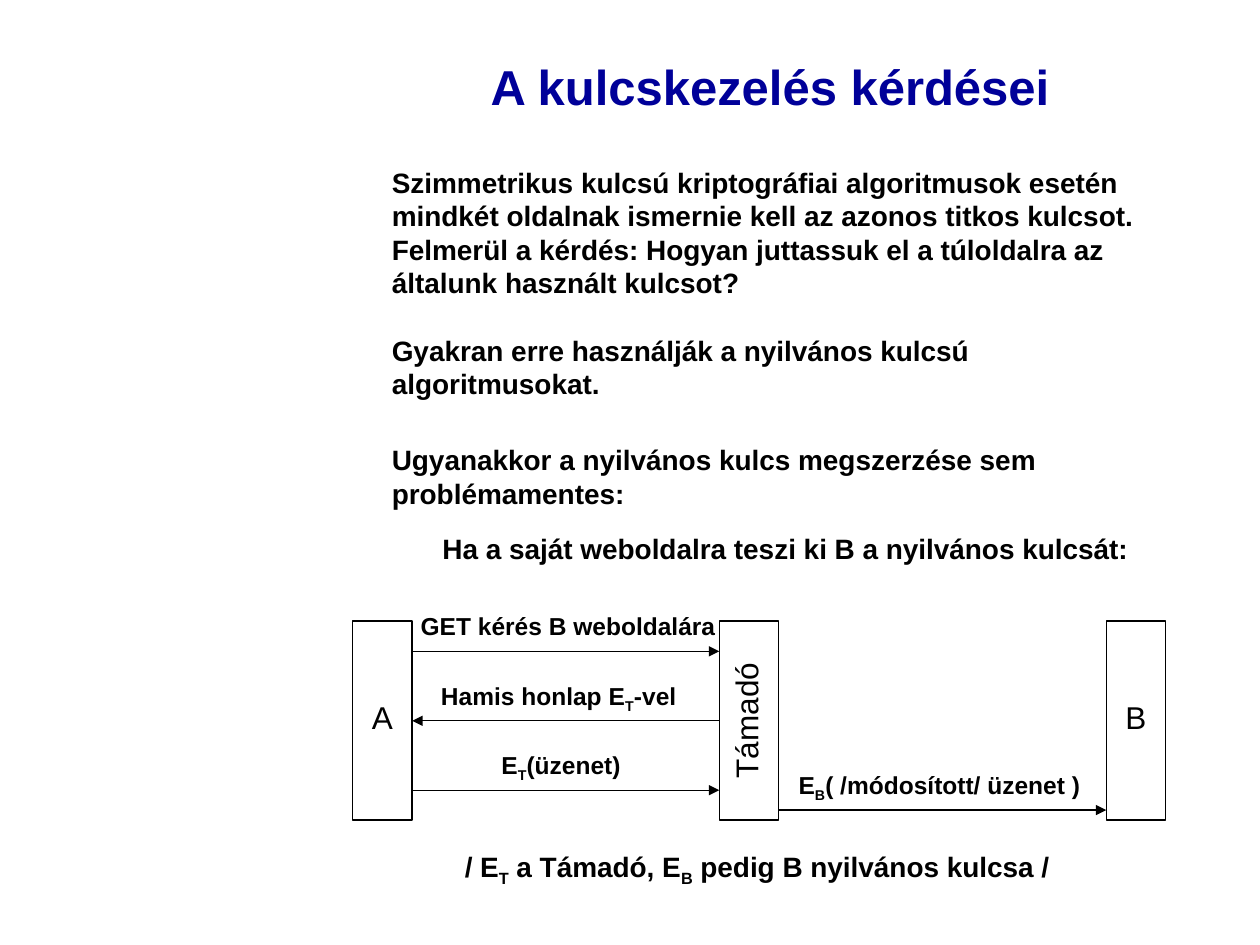
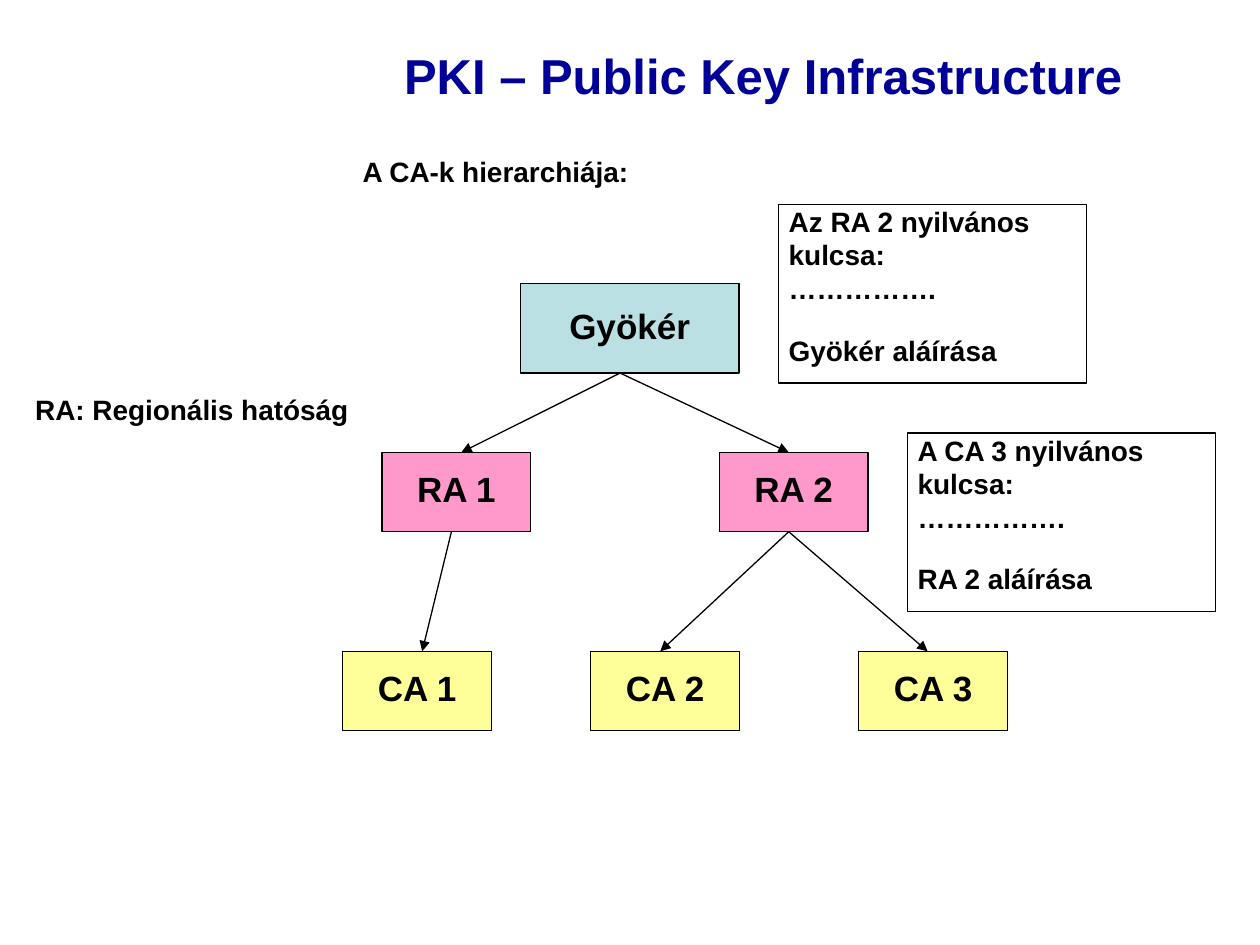
"""Build two slides on key management and the PKI hierarchy."""
import lxml.etree
import pptx
import pptx.dml.color
import pptx.enum.shapes
import pptx.enum.text
import pptx.oxml.ns
import pptx.util

Cm = pptx.util.Cm
Pt = pptx.util.Pt
RGBColor = pptx.dml.color.RGBColor
Align = pptx.enum.text.PP_ALIGN
Anchor = pptx.enum.text.MSO_ANCHOR
AutoSize = pptx.enum.text.MSO_AUTO_SIZE
qn = pptx.oxml.ns.qn

NAVY = RGBColor(0x00, 0x00, 0x99)
BLACK = RGBColor(0x00, 0x00, 0x00)
ROOT_BLUE = RGBColor(0xBB, 0xE0, 0xE3)
REGION_PINK = RGBColor(0xFF, 0x99, 0xCC)
ISSUER_YELLOW = RGBColor(0xFF, 0xFF, 0x99)


class SlideWriter:
    """Hold the shared style and the current slide."""

    font_name = "Arial"
    line_width = Pt(0.75)
    line_height = Pt(19.2)
    small_margin = Cm(0.13)

    def __init__(self, deck):
        """Remember the deck to write to."""
        self.deck = deck
        self.slide = None

    def new_slide(self, title, top, height):
        """Start a slide and format its title placeholder."""
        self.slide = self.deck.slides.add_slide(self.deck.slide_layouts[5])
        box = self.slide.shapes.title
        box.left, box.top = Cm(6.91), Cm(top)
        box.width, box.height = Cm(17.22), Cm(height)
        frame = box.text_frame
        frame.auto_size = AutoSize.NONE
        frame.vertical_anchor = Anchor.MIDDLE
        self.runs(frame.paragraphs[0], title, 28, True, NAVY, Align.CENTER)

    def runs(self, para, text, size, bold=True, color=BLACK, align=Align.LEFT):
        """Add runs; in a tuple every second piece is a subscript."""
        para.alignment = align
        pieces = (text,) if isinstance(text, str) else text
        for index, piece in enumerate(pieces):
            span = para.add_run()
            span.text = piece
            span.font.name = self.font_name
            span.font.size = Pt(size)
            span.font.bold = bold
            span.font.color.rgb = color
            if index % 2:
                span._r.get_or_add_rPr().set("baseline", "-25000")

    def margins(self, frame):
        """Keep only a small bottom margin."""
        frame.margin_left = frame.margin_right = frame.margin_top = 0
        frame.margin_bottom = self.small_margin

    def text(self, left, top, width, height, *texts, size=16, gap=0):
        """Add a bold text box with one paragraph per text."""
        box = self.slide.shapes.add_textbox(Cm(left), Cm(top), Cm(width), Cm(height))
        frame = box.text_frame
        self.margins(frame)
        frame.word_wrap = True
        frame.auto_size = AutoSize.SHAPE_TO_FIT_TEXT
        for index, text in enumerate(texts):
            para = frame.add_paragraph() if index else frame.paragraphs[0]
            if index:
                para.space_before = gap
            self.runs(para, text, size)

    def box(self, left, top, width, height, label="", fill=None, size=20, bold=True, upward=False):
        """Add an outlined rectangle with an optional centred label."""
        box = self.slide.shapes.add_shape(
            pptx.enum.shapes.MSO_SHAPE.RECTANGLE, Cm(left), Cm(top), Cm(width), Cm(height))
        box.shadow.inherit = False
        box.line.color.rgb = BLACK
        box.line.width = self.line_width
        if fill is None:
            box.fill.background()
        else:
            box.fill.solid()
            box.fill.fore_color.rgb = fill
        if label:
            frame = box.text_frame
            self.margins(frame)
            frame.word_wrap = False
            frame.vertical_anchor = Anchor.MIDDLE
            if upward:
                frame.margin_bottom = 0
                frame.margin_right = self.small_margin
                frame._txBody.bodyPr.set("vert", "vert270")
            self.runs(frame.paragraphs[0], label, size, bold, align=Align.CENTER)

    def arrow(self, start, end):
        """Add a straight line with a triangle at its end."""
        arrow = self.slide.shapes.add_connector(
            pptx.enum.shapes.MSO_CONNECTOR.STRAIGHT, *map(Cm, start + end))
        arrow.line.color.rgb = BLACK
        arrow.line.width = self.line_width
        lxml.etree.SubElement(arrow.line._get_or_add_ln(), qn("a:tailEnd"), type="triangle")
        lxml.etree.SubElement(arrow._element.spPr, qn("a:effectLst"))


def key_exchange_slide(writer):
    """Show how an attacker sits between A and B."""
    writer.new_slide("A kulcskezelés kérdései", 0.76, 1.96)
    writer.text(
        7.9, 3.33, 15.8, 5.54,
        "Szimmetrikus kulcsú kriptográfiai algoritmusok esetén mindkét oldalnak "
        "ismernie kell az azonos titkos kulcsot. Felmerül a kérdés: Hogyan juttassuk "
        "el a túloldalra az általunk használt kulcsot?",
        "Gyakran erre használják a nyilvános kulcsú algoritmusokat.",
        gap=writer.line_height)
    writer.text(7.9, 8.92, 14.58, 1.47,
                "Ugyanakkor a nyilvános kulcs megszerzése sem problémamentes:")
    writer.text(8.92, 10.72, 14.3, 0.81,
                "Ha a saját weboldalra teszi ki B a nyilvános kulcsát:")

    party_width = 1.2
    a_left, attacker_left, b_left = 7.11, 14.5, 22.3
    for left, name in ((a_left, "A"), (attacker_left, "Támadó"), (b_left, "B")):
        writer.box(left, 12.52, party_width, 4.01, name, size=18, bold=False,
                   upward=name == "Támadó")

    a_right, attacker_right = a_left + party_width, attacker_left + party_width
    first, step, label_height = 13.13, 1.4, 0.81
    messages = (
        (a_right, attacker_left, first, 8.48, 6.4, "GET kérés B weboldalára"),
        (attacker_left, a_right, first + step, 8.89, 5.2, ("Hamis honlap E", "T", "-vel")),
        (a_right, attacker_left, first + 2 * step, 10.11, 2.9, ("E", "T", "(üzenet)")),
        (attacker_right, b_left, 16.33, 16.1, 6.1, ("E", "B", "( /módosított/ üzenet )")),
    )
    for start, end, level, label_left, label_width, label in messages:
        writer.arrow((start, level), (end, level))
        writer.text(label_left, level - label_height, label_width, label_height, label, size=14)
    writer.text(9.37, 17.12, 12.5, 0.89,
                ("/ E", "T", " a Támadó, E", "B", " pedig B nyilvános kulcsa /"))


def hierarchy_slide(writer):
    """Show the tree of authorities and two certificates."""
    writer.new_slide("PKI – Public Key Infrastructure ", 0.72, 1.57)
    writer.text(7.31, 3.12, 5.8, 0.81, "A CA-k hierarchiája:")
    writer.text(0.71, 7.92, 6.8, 0.81, "RA: Regionális hatóság")

    writer.box(10.49, 5.72, 4.41, 1.8, "Gyökér", ROOT_BLUE)
    node_width, node_height = 3, 1.6
    region_top, issuer_top = 9.12, 13.13
    rows = (
        ("RA", region_top, REGION_PINK, (7.7, 14.5)),
        ("CA", issuer_top, ISSUER_YELLOW, (6.91, 11.91, 17.31)),
    )
    for kind, top, fill, lefts in rows:
        for number, left in enumerate(lefts, 1):
            writer.box(left, top, node_width, node_height, f"{kind} {number}", fill)

    region_bottom = region_top + node_height
    branches = (
        ((12.5, 7.52), region_top, (9.3, 15.9)),
        ((9.1, region_bottom), issuer_top, (8.51,)),
        ((15.9, region_bottom), issuer_top, (13.31, 18.7)),
    )
    for parent, child_top, children in branches:
        for child in children:
            writer.arrow(parent, (child, child_top))

    certificates = (
        (15.7, 4.12, "Az RA 2 nyilvános kulcsa:", "Gyökér aláírása"),
        (18.3, 8.73, "A CA 3 nyilvános kulcsa:", "RA 2 aláírása"),
    )
    text_width = 5.79
    for left, top, owner, signature in certificates:
        writer.box(left, top, 6.2, 3.6)
        writer.text(left + 0.2, top, text_width, 2.16, owner, "…………….")
        writer.text(left + 0.2, top + 2.6, text_width, 0.81, signature)


def main():
    """Build and save the deck."""
    deck = pptx.Presentation()
    deck.slide_width, deck.slide_height = Cm(25.4), Cm(19.05)
    writer = SlideWriter(deck)
    key_exchange_slide(writer)
    hierarchy_slide(writer)
    deck.save("out.pptx")


if __name__ == "__main__":
    main()
